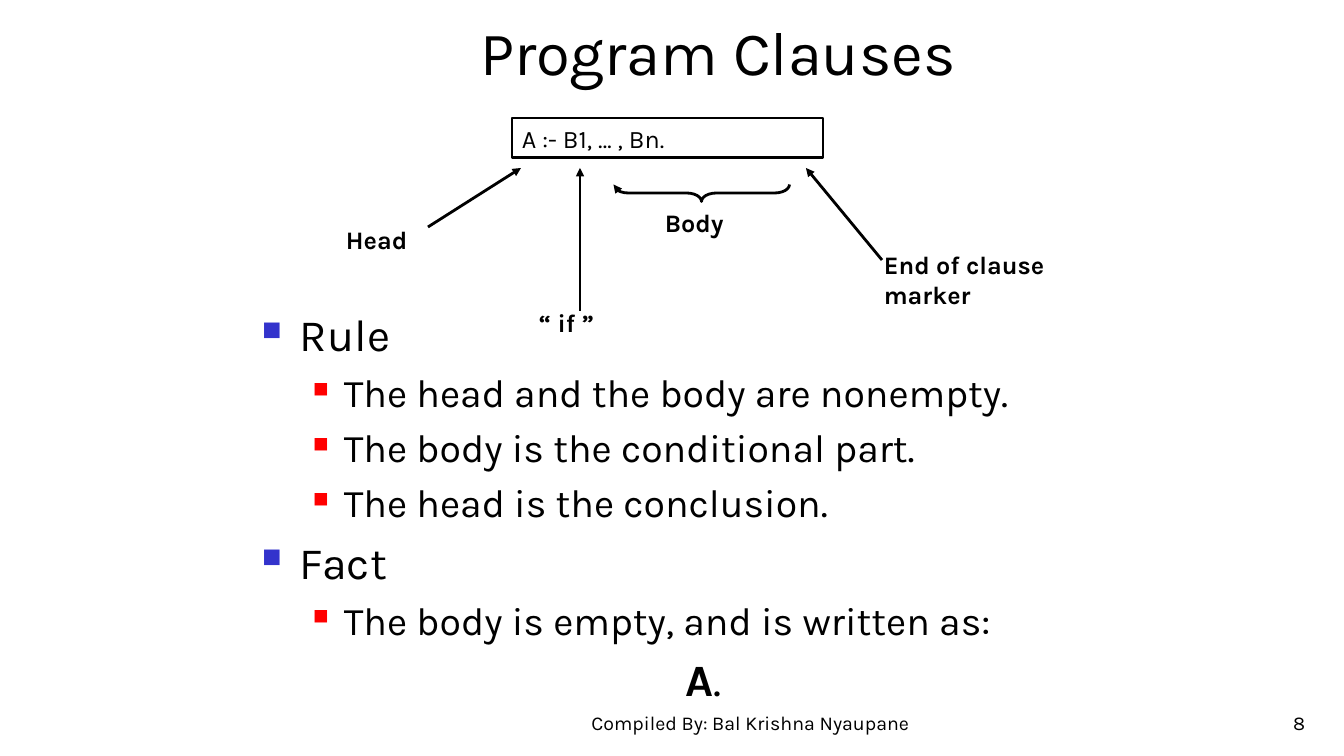
import pptx
import pptx.dml.color
import pptx.enum.shapes
import pptx.enum.text
import pptx.oxml.ns
import pptx.util
from lxml import etree

BLACK = pptx.dml.color.RGBColor(0x00, 0x00, 0x00)
BLUE = pptx.dml.color.RGBColor(0x33, 0x33, 0xCC)
RED = pptx.dml.color.RGBColor(0xFF, 0x00, 0x00)
FONT = "Karla"
ALIGN = pptx.enum.text.PP_ALIGN
ANCHOR = pptx.enum.text.MSO_ANCHOR
SHAPE = pptx.enum.shapes.MSO_SHAPE


def px(length):
    """Turn pixels, 100.8 to the inch, into EMU."""
    return pptx.util.Emu(round(length * 914400 / 100.8))


def add_xml(parent, tag, **attributes):
    """Append a DrawingML element."""
    return etree.SubElement(parent, pptx.oxml.ns.qn(tag), attributes)


def format_paragraph(paragraph, size, bold=False, align=ALIGN.LEFT, before=0):
    """Set the font, alignment and space before of a paragraph."""
    paragraph.alignment = align
    paragraph.space_before = pptx.util.Pt(before)
    font = paragraph.font
    font.name, font.size, font.bold = FONT, pptx.util.Pt(size), bold
    font.color.rgb = BLACK


def add_text(slide, box, text, size, anchor=ANCHOR.TOP, **formatting):
    """Add a wrapping text box with one paragraph."""
    shape = slide.shapes.add_textbox(*map(px, box))
    frame = shape.text_frame
    frame.word_wrap = True
    frame.vertical_anchor = anchor
    frame.text = text
    format_paragraph(frame.paragraphs[0], size, **formatting)


def add_title(slide, box, text):
    """Fill and place the title placeholder."""
    title = slide.shapes.title
    title.left, title.top, title.width, title.height = map(px, box)
    frame = title.text_frame
    frame.auto_size = pptx.enum.text.MSO_AUTO_SIZE.NONE
    frame.vertical_anchor = ANCHOR.BOTTOM
    frame.text = text
    format_paragraph(frame.paragraphs[0], 44)


def style_line(shape, arrow=True):
    """Give a shape a black line, with an arrowhead at its end if wanted."""
    shape.line.color.rgb = BLACK
    shape.line.width = pptx.util.Pt(2)
    if arrow:
        line = shape.line.fill and shape._element.xpath(".//a:ln")[0]
        add_xml(line, "a:tailEnd", type="triangle")


def add_outline(slide, kind, box, arrow=False):
    """Add an unfilled preset shape with a black outline."""
    shape = slide.shapes.add_shape(kind, *map(px, box))
    shape.fill.background()
    style_line(shape, arrow)
    shape.shadow.inherit = False
    return shape


def add_arrow(slide, start, end):
    """Add a straight arrow between two points."""
    arrow = slide.shapes.add_connector(
        pptx.enum.shapes.MSO_CONNECTOR.STRAIGHT, *map(px, start + end))
    style_line(arrow)
    add_xml(arrow._element.spPr, "a:effectLst")


def add_clause(slide, box, text):
    """Add the framed clause."""
    frame = add_outline(slide, SHAPE.RECTANGLE, box).text_frame
    frame.word_wrap = False
    frame.vertical_anchor = ANCHOR.MIDDLE
    frame.text = text
    format_paragraph(frame.paragraphs[0], 18)


def add_brace(slide, box):
    """Add the brace lying under the clause body."""
    brace = add_outline(slide, SHAPE.LEFT_BRACE, box, arrow=True)
    brace.adjustments[0] = 0.875
    brace.rotation = 270


def add_bullet(paragraph, level, text):
    """Fill a paragraph as a square bullet of the given level."""
    size, before, margin, indent, color, percent = (
        (32, 6.4, 38, -38, BLUE, 60), (28, 5.6, 82, -31, RED, 55))[level]
    paragraph.text = text
    paragraph.level = level
    paragraph.space_before = pptx.util.Pt(before)
    properties = paragraph._p.get_or_add_pPr()
    properties.set("marL", str(px(margin)))
    properties.set("indent", str(px(indent)))
    add_xml(add_xml(properties, "a:buClr"), "a:srgbClr", val=str(color))
    add_xml(properties, "a:buSzPct", val=str(percent * 1000))
    add_xml(properties, "a:buChar", char="■")
    format_paragraph(paragraph, size, before=before)


def add_explanation(slide, box, bullets):
    """Add the bullet list, closed by the centred form of a fact."""
    frame = slide.shapes.add_textbox(*map(px, box)).text_frame
    frame.word_wrap = True
    paragraph = frame.paragraphs[0]
    for level, text in bullets:
        add_bullet(paragraph, level, text)
        paragraph = frame.add_paragraph()
    for text, bold in (("A", True), (".", False)):
        run = paragraph.add_run()
        run.text, run.font.bold = text, bold
    paragraph._p.get_or_add_pPr().set("marL", str(px(38)))
    format_paragraph(paragraph, 32, align=ALIGN.CENTER, before=6.4)


def main():
    """Build the slide and save it."""
    presentation = pptx.Presentation()
    presentation.slide_width, presentation.slide_height = px(1344), px(756)
    slide = presentation.slides.add_slide(presentation.slide_layouts[5])
    add_title(slide, (470, 0, 631, 93), "Program Clauses")
    add_explanation(slide, (252, 302, 865, 420), (
        (0, "Rule"),
        (1, "The head and the body are nonempty."),
        (1, "The body is the conditional part."),
        (1, "The head is the conclusion."),
        (0, "Fact"),
        (1, "The body is empty, and is written as:"),
    ))
    add_clause(slide, (512, 118, 311, 40), "A :- B1, … , Bn.")
    add_brace(slide, (693, 105, 17, 176))
    for start, end in (
        ((428, 227), (521, 168)),
        ((882, 260), (806, 168)),
        ((580, 311), (580, 168)),
    ):
        add_arrow(slide, start, end)
    for box, text in (
        ((336, 219, 101, 40), "Head"),
        ((655, 202, 109, 40), "Body"),
        ((874, 244, 227, 70), "End of clause marker"),
        ((529, 302, 109, 40), "“ if ”"),
    ):
        add_text(slide, box, text, 18, bold=True, before=9)
    for box, text, align in (
        ((538, 689, 425, 50), "Compiled By: Bal Krishna Nyaupane", ALIGN.CENTER),
        ((1035, 689, 280, 50), "8", ALIGN.RIGHT),
    ):
        add_text(slide, box, text, 14, ANCHOR.BOTTOM, align=align)
    presentation.save("out.pptx")


main()
